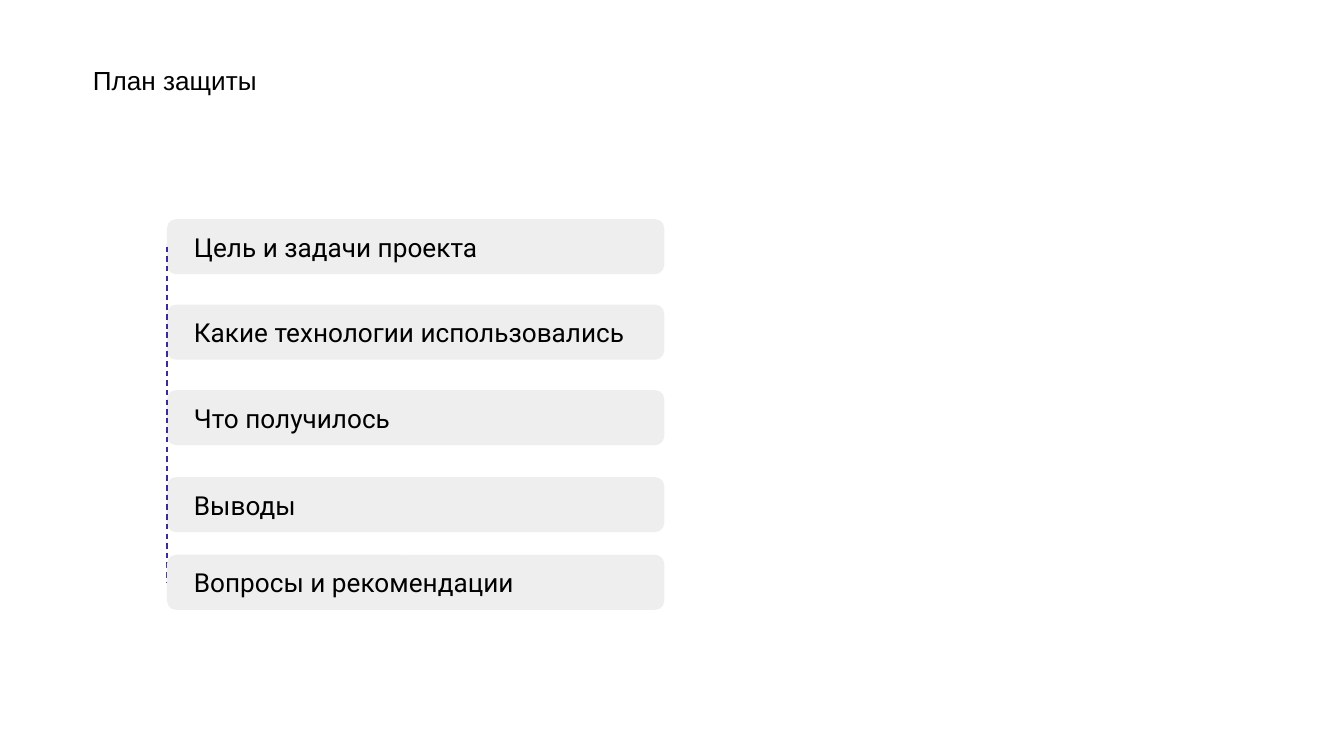
import pptx
import pptx.dml.color
import pptx.enum.dml
import pptx.enum.shapes
import pptx.enum.text
import pptx.oxml
import pptx.util

Pt = pptx.util.Pt

STEPS = [
    ("Цель и задачи проекта", 117.4),
    ("Какие технологии использовались", 163.2),
    ("Что получилось", 209),
    ("Выводы", 255.6),
    ("Вопросы и рекомендации", 297.2),
]


def color(value):
    return pptx.dml.color.RGBColor.from_string(value)


def write(tf, text, font, side, anchor):
    tf.word_wrap = True
    tf.auto_size = pptx.enum.text.MSO_AUTO_SIZE.NONE
    tf.vertical_anchor = anchor
    tf.margin_left = tf.margin_right = Pt(side)
    tf.margin_top = tf.margin_bottom = Pt(7.2)
    p = tf.paragraphs[0]
    p.alignment = pptx.enum.text.PP_ALIGN.LEFT
    p.line_spacing = 1.0
    p.space_before = Pt(0)
    r = p.add_run()
    r.text = text
    r.font.name = font
    r.font.size = Pt(14)
    r.font.color.rgb = color("000000")


def set_title(s, text):
    sp = s.shapes.title
    sp.left, sp.top, sp.width, sp.height = Pt(42.5), Pt(27.4), Pt(671), Pt(82)
    write(sp.text_frame, text, "Arial", 7.2, pptx.enum.text.MSO_ANCHOR.TOP)


def add_step(s, text, top):
    kind = pptx.enum.shapes.MSO_SHAPE.ROUNDED_RECTANGLE
    sp = s.shapes.add_shape(kind, Pt(89.5), Pt(top), Pt(266.4), Pt(29.5))
    sp.adjustments[0] = 0.167
    sp.shadow.inherit = False
    sp.fill.solid()
    sp.fill.fore_color.rgb = color("EEEEEE")
    sp.line.fill.background()
    write(sp.text_frame, text, "Roboto", 13, pptx.enum.text.MSO_ANCHOR.MIDDLE)
    return sp


def join_steps(s, upper, lower):
    kind = pptx.enum.shapes.MSO_CONNECTOR.STRAIGHT
    line = s.shapes.add_connector(kind, 0, 0, 0, 0)
    line.begin_connect(upper, 1)
    line.end_connect(lower, 1)
    line.line.color.rgb = color("3F299A")
    line.line.width = Pt(0.75)
    line.line.dash_style = pptx.enum.dml.MSO_LINE.DASH
    props = line._element.spPr
    props.append(pptx.oxml.parse_xml(
        '<a:effectLst xmlns:a="http://schemas.openxmlformats.org/drawingml/2006/main"/>'))


def main():
    prs = pptx.Presentation()
    prs.slide_width, prs.slide_height = Pt(720), Pt(405)
    s = prs.slides.add_slide(prs.slide_layouts[5])
    set_title(s, "План защиты")
    steps = [add_step(s, text, top) for text, top in STEPS]
    for upper, lower in zip(steps, steps[1:]):
        join_steps(s, upper, lower)
    s.shapes._spTree.append(steps[-1]._element)
    prs.save("out.pptx")


if __name__ == "__main__":
    main()
